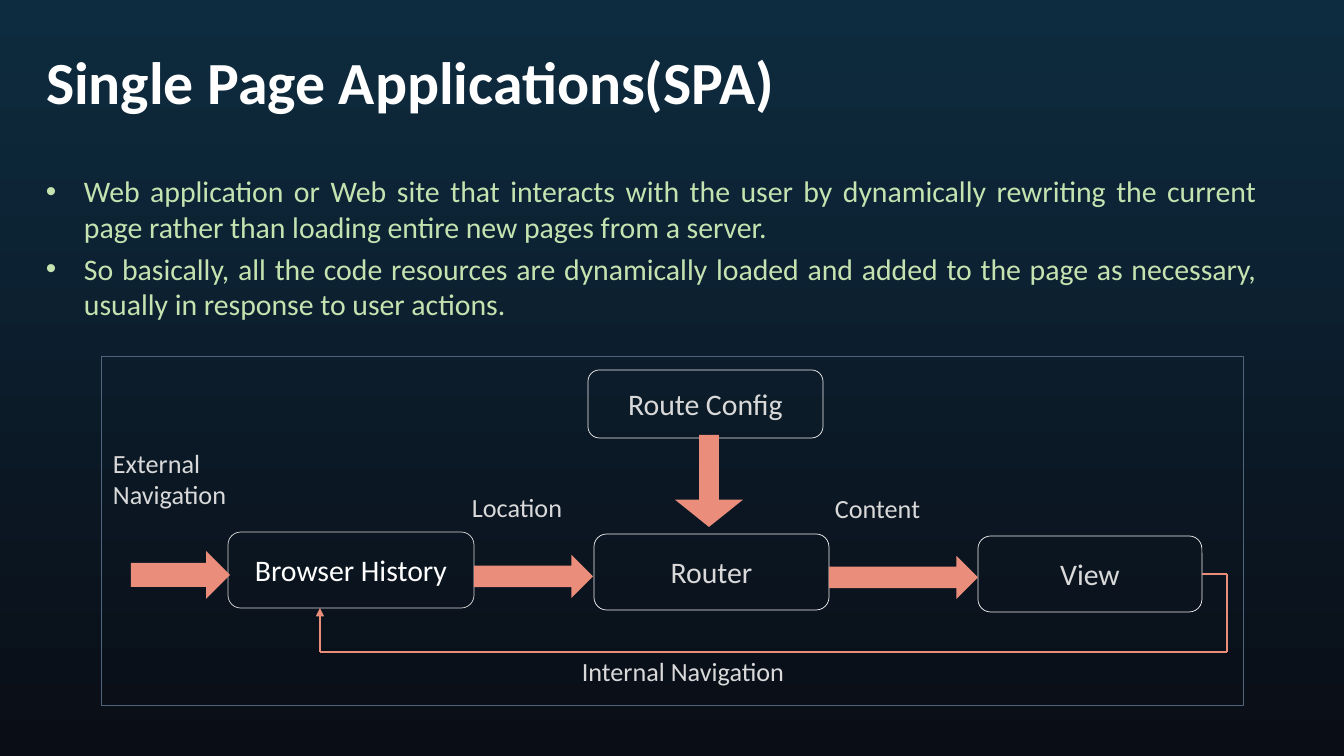
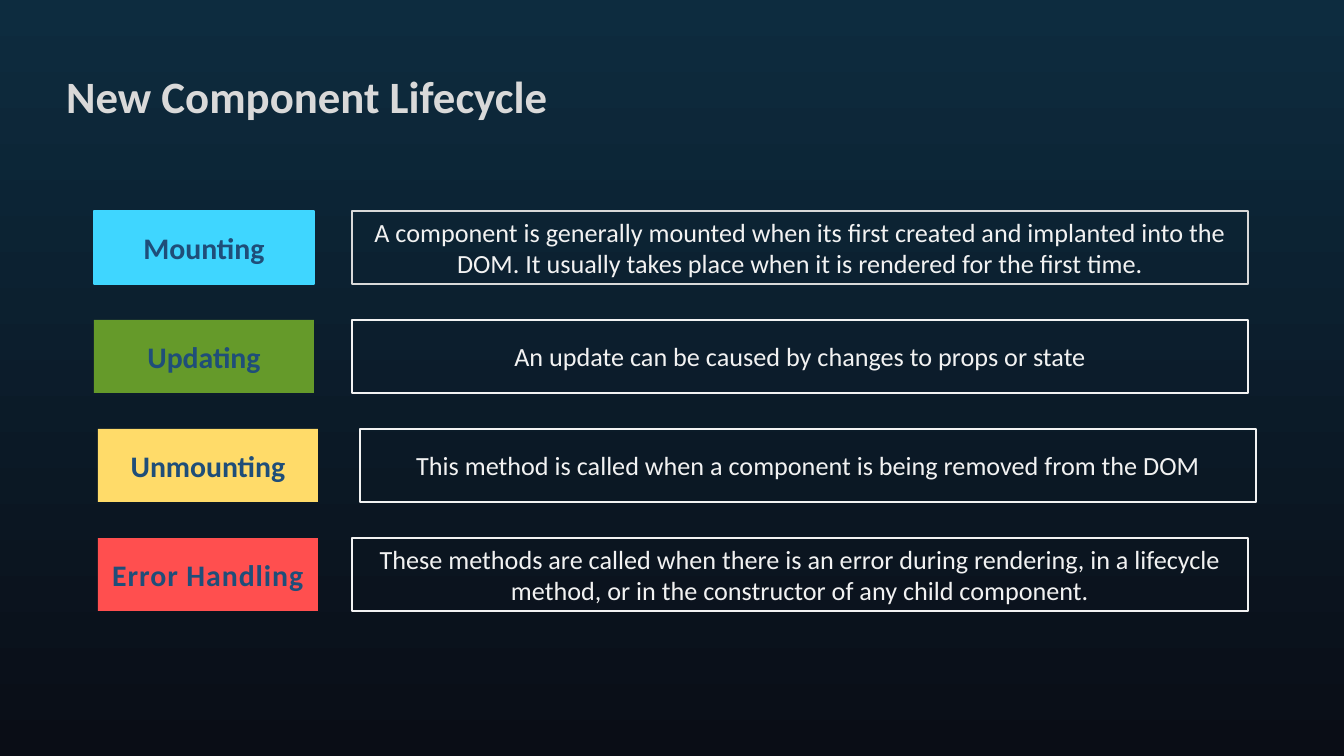
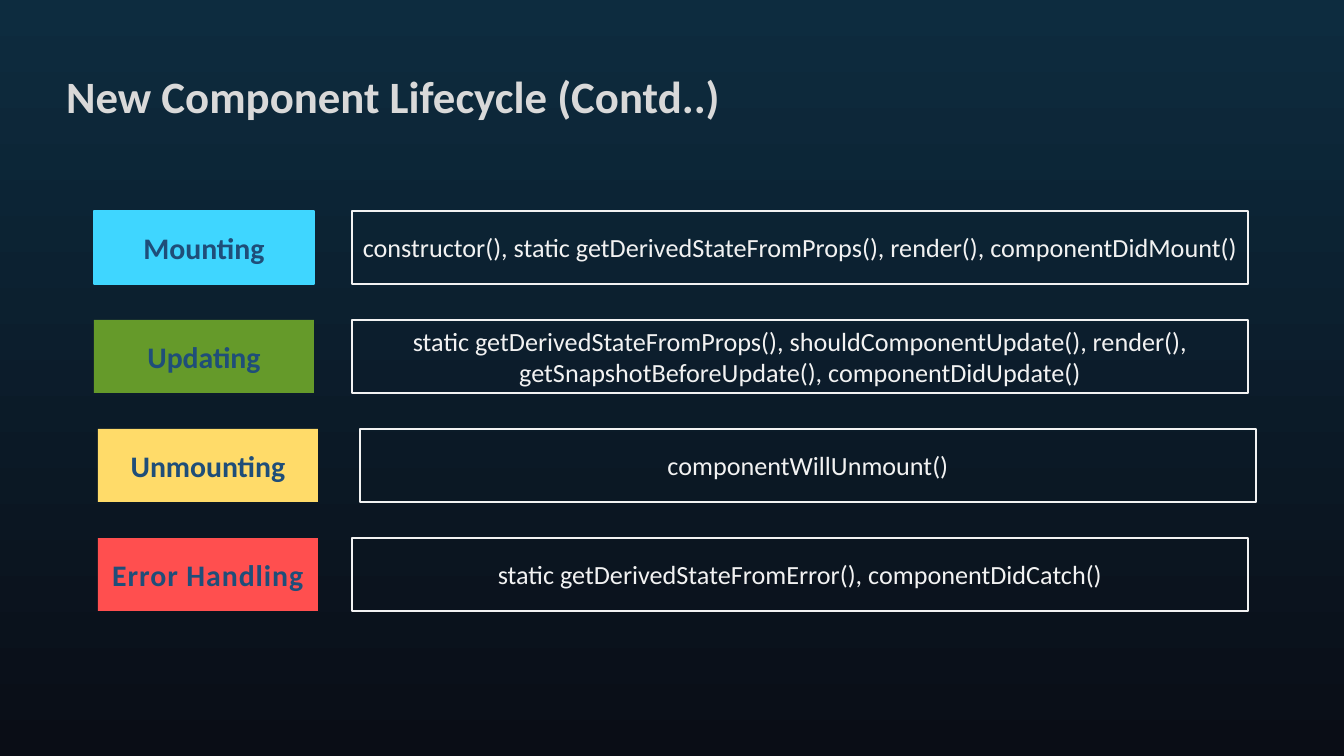
from dataclasses import dataclass
from itertools import pairwise
from typing import Any, NamedTuple

from lxml.etree import SubElement
from pptx import Presentation
from pptx.dml.color import RGBColor
from pptx.enum.shapes import MSO_CONNECTOR as Connector, MSO_SHAPE as Preset
from pptx.enum.text import MSO_ANCHOR as Anchor, MSO_AUTO_SIZE as AutoSize, PP_ALIGN as Align
from pptx.oxml.ns import qn
from pptx.util import Emu, Pt

EMU_PER_PX = 914400 / 100.8
SLIDE_W, SLIDE_H = 1344, 756


@dataclass(frozen=True)
class Theme:
    font: str = "Calibri"
    bg_top: str = "0D2C3F"
    bg_bottom: str = "0A0D16"
    white: str = "FFFFFF"
    pale: str = "F2F2F2"
    grey: str = "D9D9D9"
    bullet: str = "C4E3B0"
    frame: str = "51647E"
    arrow: str = "EA8D7A"
    phase_text: str = "1F4E79"
    heading: float = 42.7
    title: float = 32
    body: float = 21.3
    label: float = 18.7
    thin: float = 0.5
    line: float = 1


THEME = Theme()


class Box(NamedTuple):
    x: int
    y: int
    w: int
    h: int


class TextStyle(NamedTuple):
    size: float
    color: str
    bold: bool = False
    align: Align = Align.LEFT
    line_spacing: float = 1.0


class TitleStyle(NamedTuple):
    box: Box
    text: TextStyle
    anchor: Anchor


@dataclass(frozen=True)
class Node:
    text: str
    box: Box
    edge: str = THEME.pale
    color: str = THEME.grey


@dataclass(frozen=True)
class Arrow:
    box: Box
    preset: Preset = Preset.RIGHT_ARROW
    adjustments: tuple[float, ...] = ()


@dataclass(frozen=True)
class Label:
    text: str
    box: Box


@dataclass(frozen=True)
class Phase:
    name: str
    fill: str
    name_x: int
    detail_x: int
    edge: str | None = None
    tracking: int = 0


@dataclass(frozen=True)
class LifecyclePage:
    title: str
    details: tuple[str, ...]
    first_edge: str = THEME.pale


HEADING = TitleStyle(Box(36, 40, 1159, 128), TextStyle(THEME.heading, THEME.white, True), Anchor.TOP)
PAGE_TITLE = TitleStyle(
    Box(56, 40, 1233, 117),
    TextStyle(THEME.title, THEME.grey, True, line_spacing=0.9),
    Anchor.MIDDLE,
)

# Single page application content
SPA_POINTS = (
    "Web application or Web site that interacts with the user by dynamically rewriting "
    "the current page rather than loading entire new pages from a server.",
    "So basically, all the code resources are dynamically loaded and added to the page "
    "as necessary, usually in response to user actions.",
)
POINTS_BOX = Box(36, 168, 1231, 208)
POINT_INDENT = 38
DIAGRAM_FRAME = Box(101, 356, 1142, 349)
NODES = (
    Node("Route Config", Box(588, 370, 235, 68)),
    Node("Router", Box(594, 534, 235, 76)),
    Node("Browser History", Box(228, 532, 246, 76), THEME.grey, THEME.white),
    Node("View", Box(978, 536, 224, 76)),
)
ARROWS = (
    Arrow(Box(131, 551, 99, 48)),
    Arrow(Box(474, 555, 119, 43)),
    Arrow(Box(829, 556, 149, 43)),
    Arrow(Box(675, 435, 68, 92), Preset.DOWN_ARROW, (0.29, 0.4)),
)
RETURN_ROUTE = ((1202, 574), (1227, 574), (1227, 652), (320, 652), (320, 608))
LABELS = (
    Label("Location", Box(462, 486, 112, 42)),
    Label("Content", Box(825, 487, 106, 42)),
    Label("External\nNavigation", Box(103, 442, 134, 74)),
    Label("Internal Navigation", Box(572, 650, 224, 42)),
)

# Lifecycle content
ROW_TOP, ROW_PITCH, ROW_H = 211, 109, 73
NAME_W, DETAIL_W = 220, 896
PHASES = (
    Phase("Mounting", "3FD6FF", 94, 352, edge="3FD6FF"),
    Phase("Updating", "659A2A", 94, 352),
    Phase("Unmounting", "FFDB69", 98, 360),
    Phase("Error Handling", "FF4F4F", 98, 352, tracking=70),
)
LIFECYCLE_PAGES = (
    LifecyclePage(
        "New Component Lifecycle",
        (
            "A component is generally mounted when its first created and implanted into the DOM. "
            "It usually takes place when it is rendered for the first time.",
            "An update can be caused by changes to props or state",
            "This method is called when a component is being removed from the DOM",
            "These methods are called when there is an error during rendering, in a lifecycle "
            "method, or in the constructor of any child component.",
        ),
        first_edge=THEME.grey,
    ),
    LifecyclePage(
        "New Component Lifecycle (Contd..)",
        (
            "constructor(), static getDerivedStateFromProps(), render(), componentDidMount()",
            "static getDerivedStateFromProps(), shouldComponentUpdate(), render(), "
            "getSnapshotBeforeUpdate(), componentDidUpdate()",
            "componentWillUnmount()",
            "static getDerivedStateFromError(), componentDidCatch()",
        ),
    ),
)


# Formatting helpers
def px(length: int) -> Emu:
    return Emu(round(length * EMU_PER_PX))


def rgb(value: str) -> RGBColor:
    return RGBColor.from_string(value)


def apply(target: Any, values: dict[str, Any]) -> None:
    for name, value in values.items():
        setattr(target, name, value)


def write(frame: Any, text: str, style: TextStyle, **frame_format: Any) -> None:
    frame.text = text
    apply(frame, {"word_wrap": True, "auto_size": AutoSize.NONE} | frame_format)
    for paragraph in frame.paragraphs:
        apply(paragraph, {"alignment": style.align, "line_spacing": style.line_spacing})
        for run in paragraph.runs:
            apply(run.font, {"name": THEME.font, "size": Pt(style.size), "bold": style.bold})
            run.font.color.rgb = rgb(style.color)


def set_line(line: Any, color: str, width: float) -> None:
    line.color.rgb = rgb(color)
    line.width = Pt(width)


# Drawing helpers
def add_titled_slide(prs: Any, title: str, style: TitleStyle) -> Any:
    slide = prs.slides.add_slide(prs.slide_layouts.get_by_name("Title Only"))
    placeholder = slide.shapes.title
    apply(placeholder, dict(zip(("left", "top", "width", "height"), map(px, style.box))))
    write(placeholder.text_frame, title, style.text, vertical_anchor=style.anchor)
    return slide


def add_block(
    slide: Any,
    preset: Preset,
    box: Box,
    fill: str | None = None,
    edge: str | None = None,
    width: float = THEME.line,
) -> Any:
    block = slide.shapes.add_shape(preset, *map(px, box))
    block.shadow.inherit = False
    if fill:
        block.fill.solid()
        block.fill.fore_color.rgb = rgb(fill)
    else:
        block.fill.background()
    if edge:
        set_line(block.line, edge, width)
    else:
        block.line.fill.background()
    return block


def add_points(slide: Any) -> None:
    frame = slide.shapes.add_textbox(*map(px, POINTS_BOX)).text_frame
    write(frame, "\n".join(SPA_POINTS), TextStyle(THEME.body, THEME.bullet, align=Align.JUSTIFY))
    for paragraph in frame.paragraphs:
        paragraph.space_before = Pt(THEME.body * 0.2)
        properties = paragraph._p.get_or_add_pPr()
        properties.set("marL", str(px(POINT_INDENT)))
        properties.set("indent", str(-px(POINT_INDENT)))
        SubElement(properties, qn("a:buFont"), typeface="Arial")
        SubElement(properties, qn("a:buChar"), char="•")


def add_route(slide: Any, points: tuple[tuple[int, int], ...]) -> None:
    for start, end in pairwise(points):
        segment = slide.shapes.add_connector(Connector.STRAIGHT, *map(px, start + end))
        set_line(segment.line, THEME.arrow, THEME.line)
        if end == points[-1]:
            SubElement(segment.line._get_or_add_ln(), qn("a:tailEnd"), type="triangle")
        SubElement(segment._element.spPr, qn("a:effectLst"))


# Slides
def set_background(prs: Any) -> None:
    fill = prs.slide_master.background.fill
    fill.gradient()
    fill.gradient_angle = 270
    for stop, color in zip(fill.gradient_stops, (THEME.bg_top, THEME.bg_bottom)):
        stop.color.rgb = rgb(color)


def build_spa(prs: Any) -> None:
    slide = add_titled_slide(prs, "Single Page Applications(SPA)", HEADING)
    add_points(slide)
    add_block(slide, Preset.RECTANGLE, DIAGRAM_FRAME, edge=THEME.frame, width=THEME.thin)
    for node in NODES:
        block = add_block(slide, Preset.ROUNDED_RECTANGLE, node.box, edge=node.edge, width=THEME.thin)
        write(block.text_frame, node.text, TextStyle(THEME.body, node.color, align=Align.CENTER))
    for arrow in ARROWS:
        block = add_block(slide, arrow.preset, arrow.box, fill=THEME.arrow)
        for index, adjustment in enumerate(arrow.adjustments):
            block.adjustments[index] = adjustment
    add_route(slide, RETURN_ROUTE)
    for label in LABELS:
        frame = slide.shapes.add_textbox(*map(px, label.box)).text_frame
        write(frame, label.text, TextStyle(THEME.label, THEME.grey),
              word_wrap=False, auto_size=AutoSize.SHAPE_TO_FIT_TEXT)


def build_lifecycle(prs: Any, page: LifecyclePage) -> None:
    slide = add_titled_slide(prs, page.title, PAGE_TITLE)
    name_style = TextStyle(THEME.body, THEME.phase_text, True, Align.CENTER)
    detail_style = TextStyle(THEME.label, THEME.pale, align=Align.CENTER)
    for row, (phase, detail) in enumerate(zip(PHASES, page.details)):
        top = ROW_TOP + row * ROW_PITCH
        name_box = Box(phase.name_x, top, NAME_W, ROW_H)
        name = add_block(slide, Preset.RECTANGLE, name_box, phase.fill, phase.edge)
        write(name.text_frame, phase.name, name_style)
        if phase.tracking:
            run = name.text_frame.paragraphs[0].runs[0]
            run._r.get_or_add_rPr().set("spc", str(phase.tracking))
        edge = THEME.pale if row else page.first_edge
        detail_box = Box(phase.detail_x, top, DETAIL_W, ROW_H)
        description = add_block(slide, Preset.RECTANGLE, detail_box, edge=edge)
        write(description.text_frame, detail, detail_style)


def main() -> None:
    prs = Presentation()
    apply(prs, {"slide_width": px(SLIDE_W), "slide_height": px(SLIDE_H)})
    set_background(prs)
    build_spa(prs)
    for page in LIFECYCLE_PAGES:
        build_lifecycle(prs, page)
    prs.save("out.pptx")


if __name__ == "__main__":
    main()
